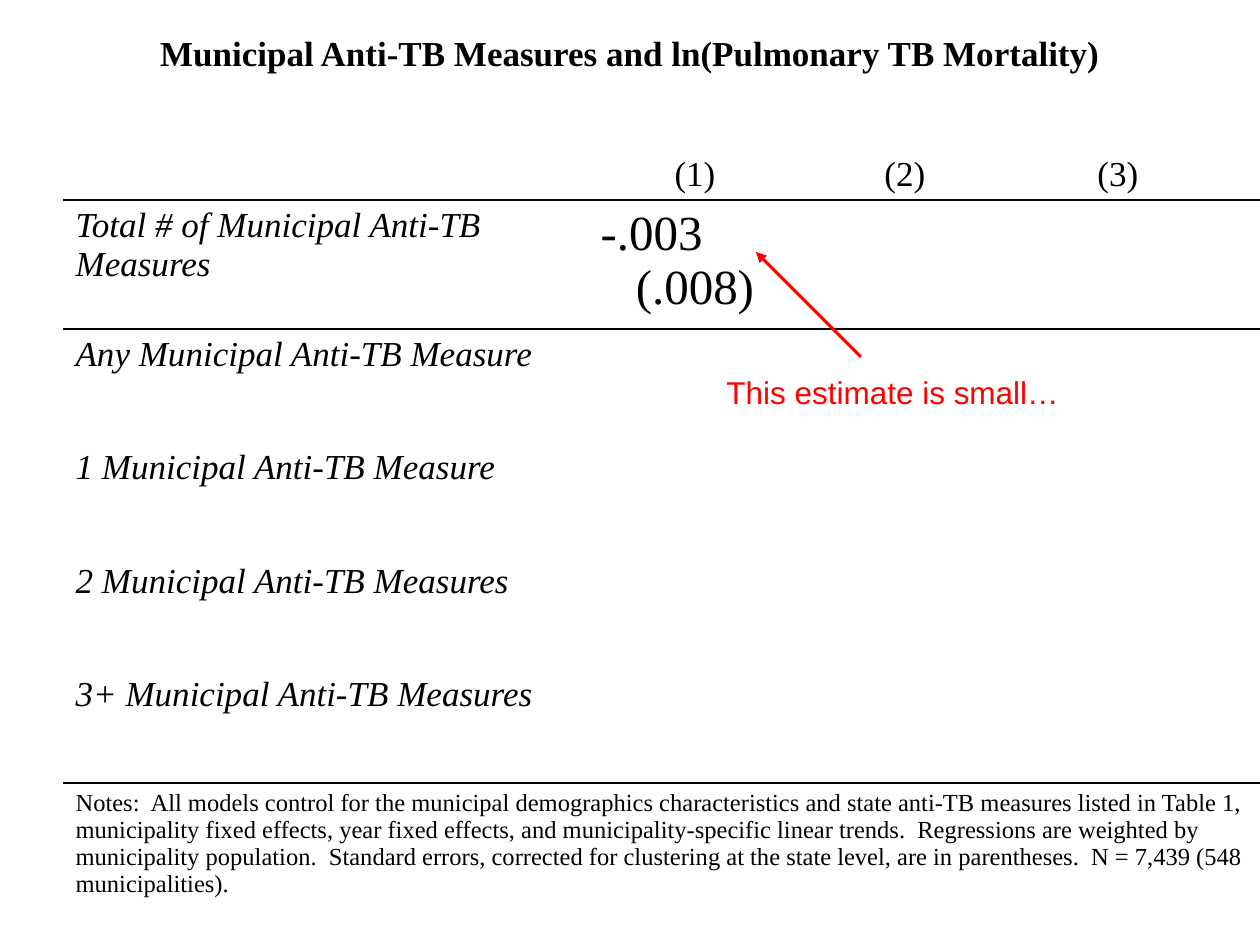
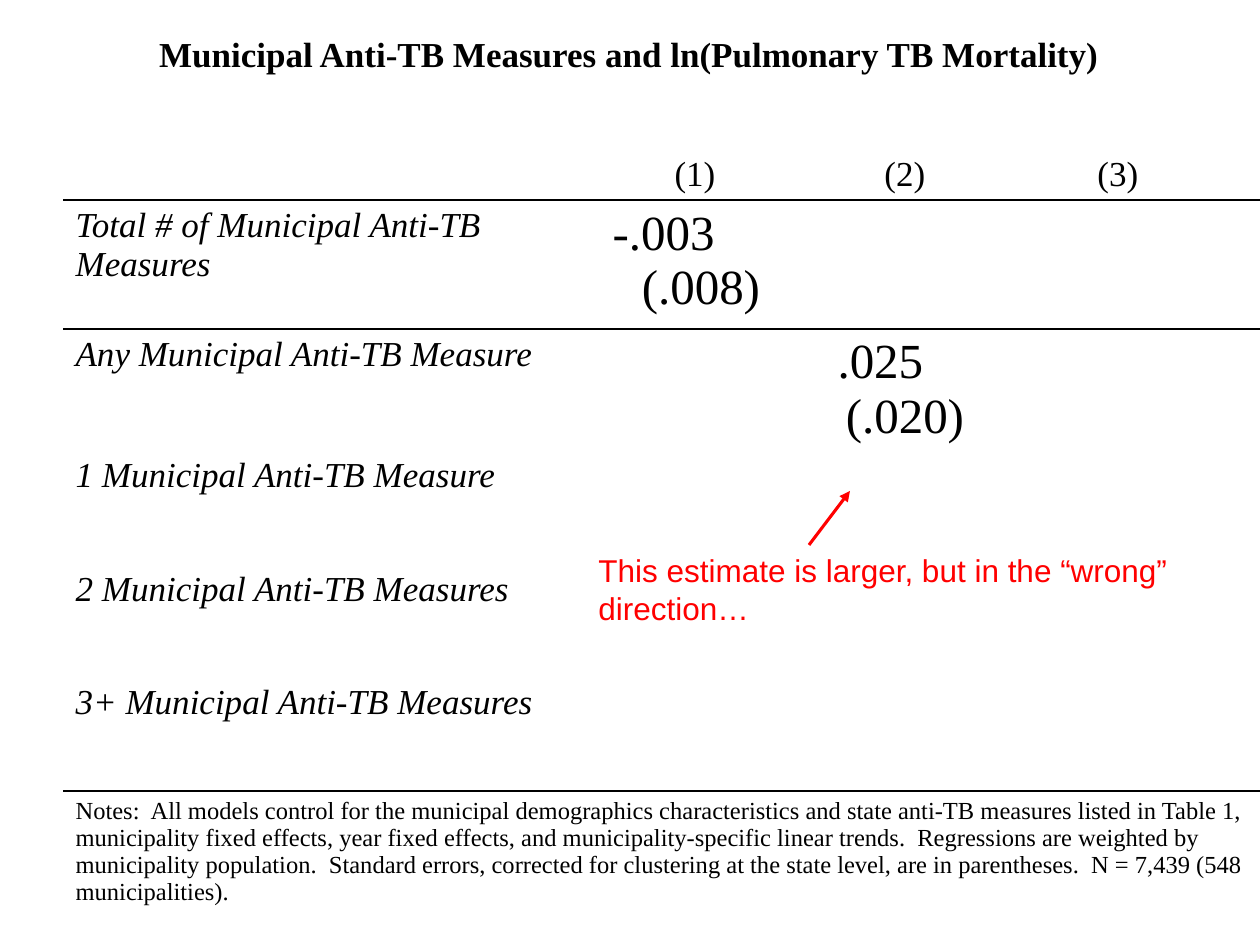
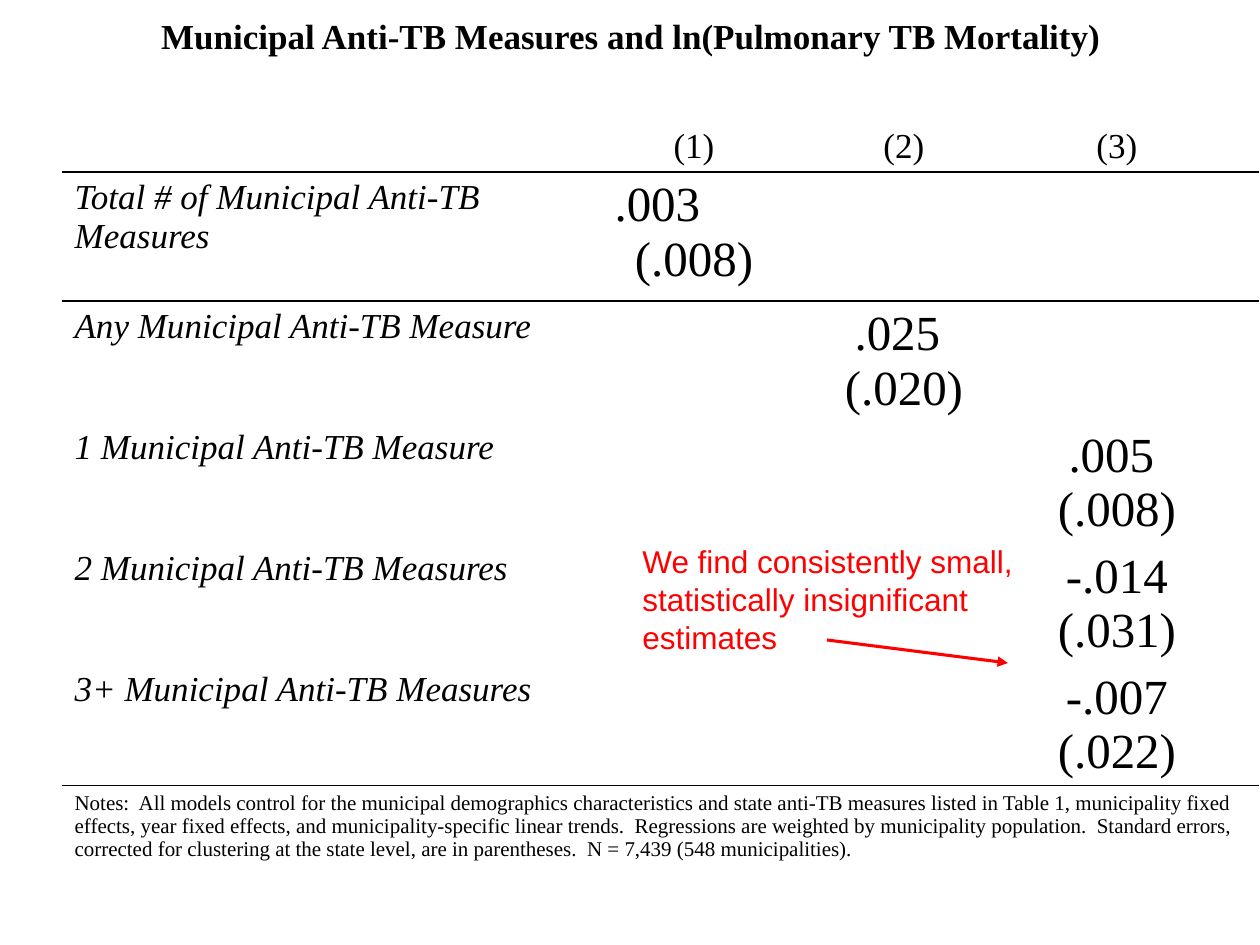
"""Build three slides that reveal regression estimates step by step."""
from lxml import etree
from pptx import Presentation, util as u
from pptx.dml.color import RGBColor
from pptx.enum import shapes, text
from pptx.oxml import ns

PX = 7257.14
SERIF, SANS = "Times New Roman", "Arial"
BLACK, RED = "000000", "FF0000"
LEFT, MID = text.PP_ALIGN.LEFT, text.PP_ALIGN.CENTER
TITLE = "Municipal Anti-TB Measures and ln(Pulmonary TB Mortality)"
HEADS = ["(1)", "(2)", "(3)"]
LABELS = [
    "Total # of Municipal Anti-TB Measures",
    "Any Municipal Anti-TB Measure",
    "1 Municipal Anti-TB Measure",
    "2 Municipal Anti-TB Measures",
    "3+ Municipal Anti-TB Measures",
]
NOTES = (
    "Notes:  All models control for the municipal demographics characteristics "
    "and state anti-TB measures listed in Table 1, municipality fixed effects, "
    "year fixed effects, and municipality-specific linear trends.  Regressions "
    "are weighted by municipality population.  Standard errors, corrected for "
    "clustering at the state level, are in parentheses.  N = 7,439 (548 "
    "municipalities)."
)
COLS = [525, 214, 206, 220, 32]
PLAIN = "{2D5ABB26-0587-4C30-8999-92F81FD0307C}"

# Estimates: row, column, value, value indent (None centres it), error, error indent
SLIDES = [
    dict(title=(63, 20), grid=(63, 111), note=14,
         rows=[89, 129, 113, 114, 113, 114, 147],
         cells=[(1, 1, "-.003", 0, "(.008)", 0)],
         call="This estimate is small…", box=(714, 367, 609, 50),
         arrow=(861, 357, 756, 252)),
    dict(title=(62, 21), grid=(63, 111), note=14,
         rows=[89, 129, 121, 114, 113, 114, 147],
         cells=[(1, 1, "-.003", 12, "(.008)", 12), (2, 2, ".025", 23, "(.020)", 0)],
         call="This estimate is larger, but in the “wrong” direction…",
         box=(586, 545, 609, 89), arrow=(809, 545, 850, 491)),
    dict(title=(64, 3), grid=(62, 83), note=12,
         rows=[89, 129, 121, 121, 121, 121, 147],
         cells=[(1, 1, ".003", 15, "(.008)", 0), (2, 2, ".025", 41, "(.020)", 0),
                (3, 3, ".005", 49, "(.008)", 0), (4, 3, "-.014", None, "(.031)", 0),
                (5, 3, "-.007", None, "(.022)", 0)],
         call="We find consistently small, statistically insignificant estimates",
         box=(630, 536, 399, 127), arrow=(827, 640, 1008, 663)),
]


def px(*vals):
    return [u.Emu(round(val * PX)) for val in vals]


def put(frame, words, size=20, font=SERIF, hue=BLACK, bold=False, ital=False,
        align=LEFT, indent=0, more=False):
    par = frame.add_paragraph() if more else frame.paragraphs[0]
    par.alignment = align
    if indent:
        par._p.get_or_add_pPr().set("marL", str(px(indent)[0]))
    run = par.add_run()
    run.text = words
    run.font.size, run.font.name = u.Pt(size), font
    run.font.bold, run.font.italic = bold, ital
    run.font.color.rgb = RGBColor.from_string(hue)


deck = Presentation()
deck.slide_width, deck.slide_height = px(1260, 945)

for data in SLIDES:
    slide = deck.slides.add_slide(deck.slide_layouts[5])
    head = slide.shapes.title
    head.left, head.top, head.width, head.height = px(*data["title"], 1134, 107)
    frame = head.text_frame
    frame.auto_size = text.MSO_AUTO_SIZE.NONE
    frame.vertical_anchor = text.MSO_ANCHOR.TOP
    frame.margin_top = px(11)[0]
    put(frame, TITLE, bold=True, align=MID)

    rows = data["rows"]
    grid = slide.shapes.add_table(
        len(rows), len(COLS), *px(*data["grid"], sum(COLS), sum(rows))).table
    grid.first_row = grid.horz_banding = False
    grid._tbl.tblPr.find(ns.qn("a:tableStyleId")).text = PLAIN
    for col, wide in zip(grid.columns, px(*COLS)):
        col.width = wide
    for row, high in zip(grid.rows, px(*rows)):
        row.height = high
    grid.cell(6, 0).merge(grid.cell(6, 4))

    for num, edge in [(0, "lnB"), (1, "lnT"), (5, "lnB"), (6, "lnT")]:
        for cell in grid.rows[num].cells:
            rule = etree.SubElement(cell._tc.get_or_add_tcPr(), ns.qn(f"a:{edge}"), w="12700")
            fill = etree.SubElement(rule, ns.qn("a:solidFill"))
            etree.SubElement(fill, ns.qn("a:srgbClr"), val=BLACK)
    for cell in grid.iter_cells():
        cell.fill.background()

    for num, words in enumerate(HEADS, 1):
        cell = grid.cell(0, num)
        cell.vertical_anchor = text.MSO_ANCHOR.BOTTOM
        put(cell.text_frame, words, align=MID)
    for num, words in enumerate(LABELS, 1):
        put(grid.cell(num, 0).text_frame, words, ital=True)
    for row, col, value, shift, error, inset in data["cells"]:
        frame = grid.cell(row, col).text_frame
        put(frame, value, size=28, align=MID if shift is None else LEFT, indent=shift)
        put(frame, error, size=28, align=MID, indent=inset, more=True)
    put(grid.cell(6, 0).text_frame, NOTES, size=data["note"])

    frame = slide.shapes.add_textbox(*px(*data["box"])).text_frame
    frame.word_wrap = True
    put(frame, data["call"], size=18, font=SANS, hue=RED)

    arrow = slide.shapes.add_connector(shapes.MSO_CONNECTOR.STRAIGHT, *px(*data["arrow"]))
    arrow.line.color.rgb = RGBColor.from_string(RED)
    arrow.line.width = u.Pt(1.75)
    etree.SubElement(arrow.line._get_or_add_ln(), ns.qn("a:tailEnd"), type="triangle")
    etree.SubElement(arrow._element.spPr, ns.qn("a:effectLst"))

deck.save("out.pptx")
